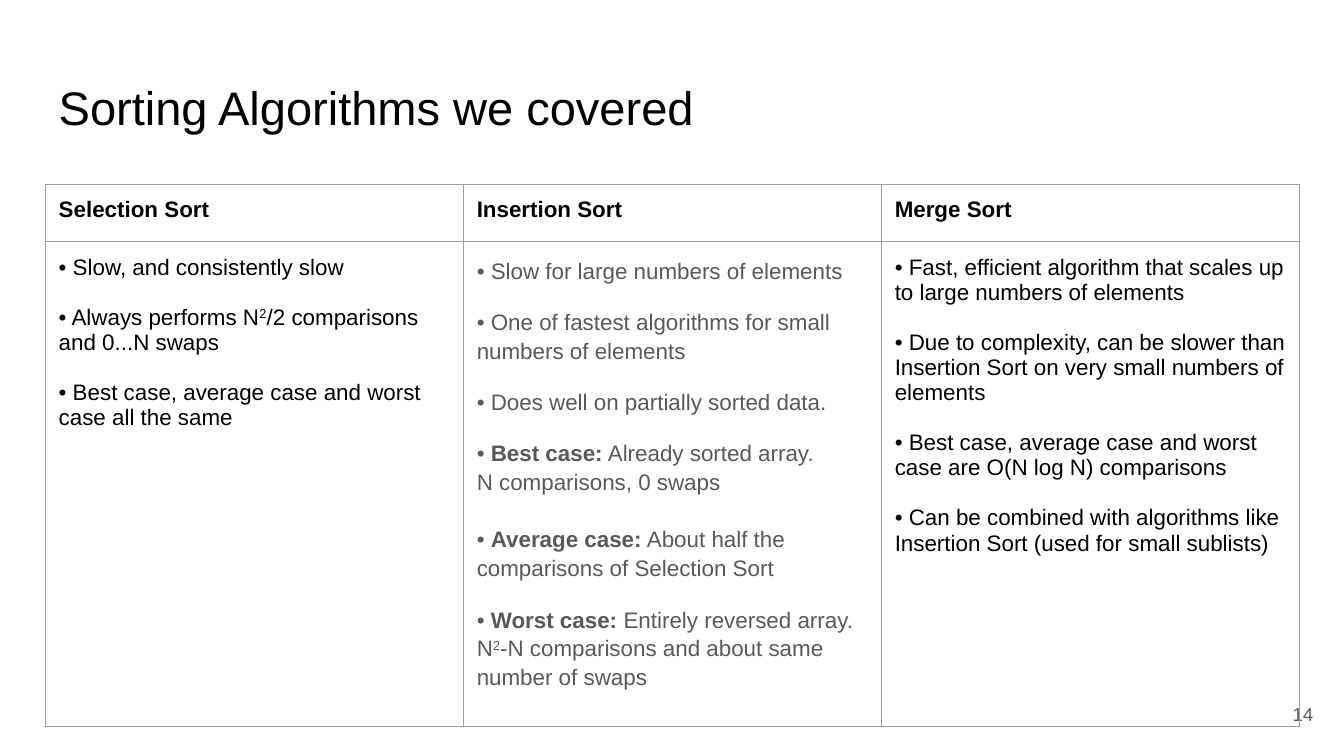
from lxml import etree
from pptx import Presentation
from pptx.dml.color import RGBColor
from pptx.enum import text
from pptx.oxml import ns
from pptx.util import Cm, Pt

# Content: a paragraph is (space before, runs); a run is (words, style)
HUES = {"ink": "000000", "gray": "595959", "rule": "9E9E9E"}
FONT = "Arial"
TITLE = "Sorting Algorithms we covered"
PAGE = "14"
GAP = 13.4  # one line at 12 pt
COLS = [
    {"head": "Selection Sort", "hue": "ink", "lead": 1, "items": [
        (0, [("• Slow, and consistently slow", "")]),
        (GAP, [("• Always performs N", ""), ("2", "sup"),
               ("/2 comparisons and 0...N swaps", "")]),
        (GAP, [("• Best case, average case and worst case all the same", "")]),
    ]},
    {"head": "Insertion Sort", "hue": "gray", "lead": 1.15, "items": [
        (0, [("• Slow for large numbers of elements", "")]),
        (12, [("• One of fastest algorithms for small numbers of elements", "")]),
        (12, [("• Does well on partially sorted data.", "")]),
        (12, [("• ", ""), ("Best case:", "bold"), (" Already sorted array.", ""),
              ("", "break"), ("N comparisons, 0 swaps", "")]),
        (15.4, [("• ", ""), ("Average case:", "bold"),
                (" About half the comparisons of Selection Sort", "")]),
        (12, [("• ", ""), ("Worst case:", "bold"),
              (" Entirely reversed array. N", ""), ("2", "sup"),
              ("-N comparisons and about same number of swaps", "")]),
    ]},
    {"head": "Merge Sort", "hue": "ink", "lead": 1, "items": [
        (0, [("• Fast, efficient algorithm that scales up to large numbers "
              "of elements", "")]),
        (GAP, [("• Due to complexity, can be slower than Insertion Sort on "
                "very small numbers of elements", "")]),
        (GAP, [("• Best case, average case and worst case are O(N log N) "
                "comparisons", "")]),
        (GAP, [("• Can be combined with algorithms like Insertion Sort "
                "(used for small sublists)", "")]),
    ]},
]

# Layout in cm
LEFT, TOP, WIDE = 0.86, 3.48, 7.9
ROWS = [1.09, 8.74]
PAD = Cm(0.25)


def add_run(para, words, size, hue, style=""):
    if style == "break":
        para.add_line_break()
        return
    run = para.add_run()
    run.text = words
    font = run.font
    font.name, font.size, font.bold = FONT, Pt(size), style == "bold"
    font.color.rgb = RGBColor.from_string(HUES[hue])
    if style == "sup":
        font._element.set("baseline", "30000")


def pad(part):
    part.margin_left = part.margin_right = PAD
    part.margin_top = part.margin_bottom = PAD


def add_label(slide, box, words, size, hue, align, anchor):
    frame = slide.shapes.add_textbox(*map(Cm, box)).text_frame
    frame.word_wrap = True
    frame.vertical_anchor = anchor
    pad(frame)
    para = frame.paragraphs[0]
    para.alignment = align
    add_run(para, words, size, hue)


def rule_cell(cell):
    props = cell._tc.get_or_add_tcPr()
    for side in ("lnL", "lnR", "lnT", "lnB"):
        line = etree.SubElement(props, ns.qn("a:" + side), w=str(Pt(0.75)))
        fill = etree.SubElement(line, ns.qn("a:solidFill"))
        etree.SubElement(fill, ns.qn("a:srgbClr"), val=HUES["rule"])
    cell.fill.background()


def fill_cell(cell, items, hue, lead):
    pad(cell)
    rule_cell(cell)
    frame = cell.text_frame
    for i, (gap, runs) in enumerate(items):
        para = frame.add_paragraph() if i else frame.paragraphs[0]
        para.line_spacing = float(lead)
        if gap:
            para.space_before = Pt(gap)
        for words, style in runs:
            add_run(para, words, 12, hue, style)


def main():
    deck = Presentation()
    deck.slide_width, deck.slide_height = Cm(25.4), Cm(14.29)
    slide = deck.slides.add_slide(deck.slide_layouts[6])

    # Title and page number
    add_label(slide, (LEFT, 1.24, 23.67, 1.6), TITLE, 25.2, "ink",
              text.PP_ALIGN.LEFT, text.MSO_ANCHOR.TOP)
    add_label(slide, (23.55, 12.95, 1.52, 1.09), PAGE, 10, "gray",
              text.PP_ALIGN.RIGHT, text.MSO_ANCHOR.MIDDLE)

    # Comparison table
    box = (LEFT, TOP, WIDE * len(COLS), sum(ROWS))
    grid = slide.shapes.add_table(len(ROWS), len(COLS), *map(Cm, box)).table
    grid.first_row = grid.horz_banding = False
    for row, tall in zip(grid.rows, ROWS):
        row.height = Cm(tall)
    for i, col in enumerate(COLS):
        grid.columns[i].width = Cm(WIDE)
        fill_cell(grid.cell(0, i), [(0, [(col["head"], "bold")])], "ink", 1)
        fill_cell(grid.cell(1, i), col["items"], col["hue"], col["lead"])

    deck.save("out.pptx")


if __name__ == "__main__":
    main()
